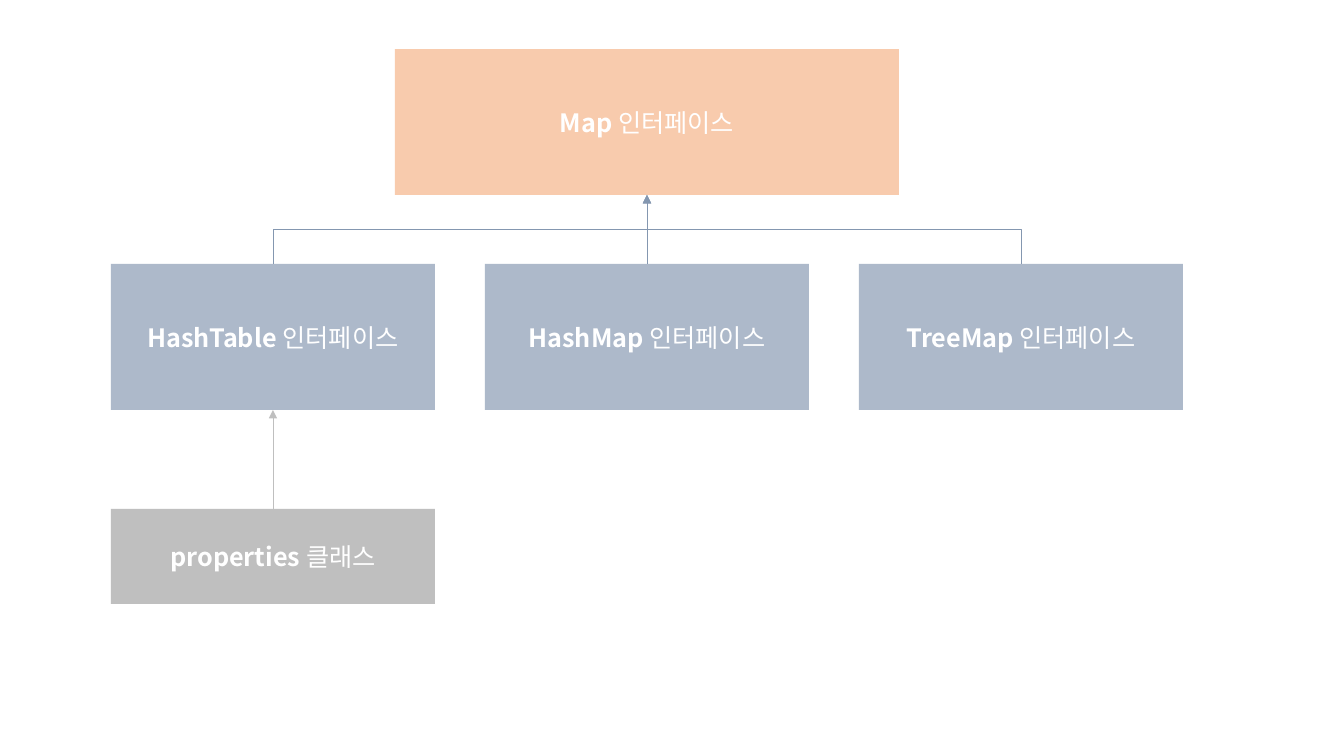
from lxml.etree import SubElement
from pptx import Presentation
from pptx.dml.color import RGBColor
from pptx.enum.shapes import MSO_CONNECTOR as CONN, MSO_SHAPE
from pptx.enum.text import MSO_ANCHOR, PP_ALIGN
from pptx.oxml.ns import qn
from pptx.util import Pt

PX = 914400 / 100.8
FONT = "Noto Sans CJK KR"
WHITE = RGBColor(0xFF, 0xFF, 0xFF)
PEACH = RGBColor(0xF8, 0xCB, 0xAD)
BLUE = RGBColor(0xAD, 0xB9, 0xCA)
DARK_BLUE = RGBColor(0x84, 0x97, 0xB0)
GRAY = RGBColor(0xBF, 0xBF, 0xBF)

LEFT, WIDTH, STEP = 111, 324, 374
MAP_TOP, CHILD_TOP, HEIGHT = 49, 264, 146
CLASS_TOP, CLASS_HEIGHT = 509, 95
MAP_WIDTH = 504
CENTERS = [LEFT + WIDTH // 2 + i * STEP for i in range(3)]
MAP_CENTER = CENTERS[1]


def px(*lengths):
    return [round(n * PX) for n in lengths]


def add_arrow(kind, ends, color):
    """Add a thin connector with a triangle at its end; return it."""
    c = s.shapes.add_connector(kind, *px(*ends))
    c.line.color.rgb = color
    c.line.width = Pt(0.5)
    SubElement(c.line._get_or_add_ln(), qn("a:tailEnd"), type="triangle")
    SubElement(c._element.spPr, qn("a:effectLst"))
    return c


prs = Presentation()
prs.slide_width, prs.slide_height = px(1344, 756)
s = prs.slides.add_slide(prs.slide_layouts[6])

boxes = [("Map ", "인터페이스", PEACH,
          (MAP_CENTER - MAP_WIDTH // 2, MAP_TOP, MAP_WIDTH, HEIGHT))]
for i, name in enumerate(["HashTable ", "HashMap ", "TreeMap "]):
    boxes.append((name, "인터페이스", BLUE,
                  (LEFT + i * STEP, CHILD_TOP, WIDTH, HEIGHT)))
boxes.append(("properties ", "클래스", GRAY,
              (LEFT, CLASS_TOP, WIDTH, CLASS_HEIGHT)))

for name, kind, color, place in boxes:
    sp = s.shapes.add_shape(MSO_SHAPE.RECTANGLE, *px(*place))
    sp.shadow.inherit = False
    sp.fill.solid()
    sp.fill.fore_color.rgb = color
    sp.line.fill.background()
    tf = sp.text_frame
    tf.vertical_anchor = MSO_ANCHOR.MIDDLE
    p = tf.paragraphs[0]
    p.alignment = PP_ALIGN.CENTER
    for text, bold in [(name, True), (kind, False)]:
        r = p.add_run()
        r.text = text
        for key, value in {"name": FONT, "size": Pt(18), "bold": bold}.items():
            setattr(r.font, key, value)
        r.font.color.rgb = WHITE
        SubElement(r.font._element, qn("a:ea"), typeface=FONT)

# Elbows are laid out sideways about their middle, then turned to point up
map_bottom = MAP_TOP + HEIGHT
rise = CHILD_TOP - map_bottom
mid_y = map_bottom + rise / 2
for x in CENTERS:
    mid_x, run = (x + MAP_CENTER) / 2, MAP_CENTER - x
    c = add_arrow(CONN.ELBOW, (mid_x - rise / 2, mid_y - run / 2,
                               mid_x + rise / 2, mid_y + run / 2), DARK_BLUE)
    c._element.spPr.find(qn("a:xfrm")).set("rot", str(270 * 60000))

add_arrow(CONN.STRAIGHT,
          (CENTERS[0], CLASS_TOP, CENTERS[0], CHILD_TOP + HEIGHT), GRAY)

prs.save("out.pptx")
